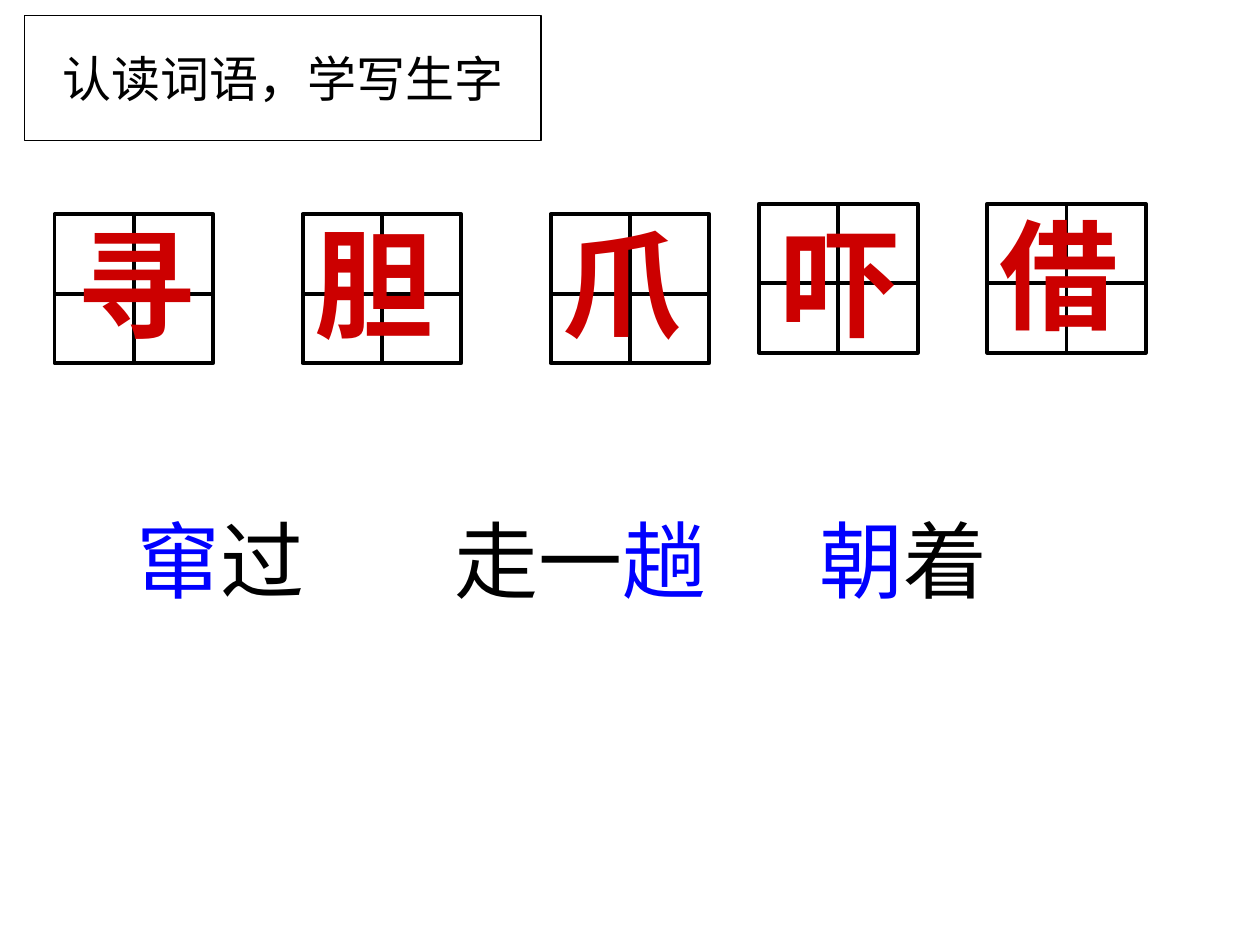
from dataclasses import dataclass

from lxml import etree
from pptx import Presentation
from pptx.dml.color import RGBColor
from pptx.enum.shapes import MSO_CONNECTOR, MSO_SHAPE
from pptx.enum.text import MSO_ANCHOR, MSO_AUTO_SIZE, PP_ALIGN
from pptx.oxml.ns import qn
from pptx.util import Cm, Pt

RECTANGLE = MSO_SHAPE.RECTANGLE
STRAIGHT = MSO_CONNECTOR.STRAIGHT
MIDDLE = MSO_ANCHOR.MIDDLE
GROW = MSO_AUTO_SIZE.SHAPE_TO_FIT_TEXT
CENTER = PP_ALIGN.CENTER
TOP_SIDE, BOTTOM_SIDE = 0, 2


@dataclass(frozen=True)
class Theme:
    black: RGBColor = RGBColor(0, 0, 0)
    red: RGBColor = RGBColor(0xCC, 0, 0)
    blue: RGBColor = RGBColor(0, 0, 0xFF)
    body_font: str = "Arial"
    chinese_font: str = "Noto Sans CJK SC"
    title_size: float = 28
    word_size: float = 48
    character_size: float = 68
    thin_line: float = 0.75
    grid_line: float = 2.25


THEME = Theme()

# Writing grid: width, height and drop of the horizontal guide, in cm
GRID_WIDTH, GRID_HEIGHT, GUIDE_DROP = 3.2, 3, 1.6

# Character, grid left and top, text left, top and width, in cm
CHARACTERS = [
    ("寻", 1.1, 4.32, 1.3, 4.11, 3.4),
    ("胆", 6.1, 4.32, 6.1, 4.11, 2.6),
    ("爪", 11.1, 4.32, 11.1, 4.11, 3.4),
    ("吓", 15.3, 4.11, 15.5, 4.11, 4),
    ("借", 19.9, 4.11, 19.9, 3.94, 4),
]

WORDS = [
    ("窜", THEME.blue),
    ("过\t走一", THEME.black),
    ("趟\t朝", THEME.blue),
    ("着", THEME.black),
]
WORD_TABS = [6.42, 13.77]


def add_text(paragraph, text, *, size, color, font=THEME.body_font, bold=False):
    run = paragraph.add_run()
    run.text = text
    run.font.name = font
    run.font.size = Pt(size)
    run.font.bold = bold
    run.font.color.rgb = color
    east_asian = etree.SubElement(run.font._element, qn("a:ea"))
    east_asian.set("typeface", THEME.chinese_font)


class SlideBuilder:
    def __init__(self, slide, theme):
        self.slide = slide
        self.theme = theme

    def rectangle(self, shapes, left, top, width, height, line_width):
        shape = shapes.add_shape(RECTANGLE, Cm(left), Cm(top), Cm(width), Cm(height))
        shape.shadow.inherit = False
        shape.fill.background()
        shape.line.color.rgb = self.theme.black
        shape.line.width = Pt(line_width)
        return shape

    def guide(self, shapes, start, end):
        points = [Cm(value) for value in (*start, *end)]
        connector = shapes.add_connector(STRAIGHT, *points)
        connector.line.color.rgb = self.theme.black
        connector.line.width = Pt(self.theme.grid_line)
        etree.SubElement(connector._element.spPr, qn("a:effectLst"))
        return connector

    def writing_grid(self, left, top):
        shapes = self.slide.shapes.add_group_shape().shapes
        frame = self.rectangle(shapes, left, top, GRID_WIDTH, GRID_HEIGHT,
                               self.theme.grid_line)
        guide_y, guide_x = top + GUIDE_DROP, left + GRID_WIDTH / 2
        self.guide(shapes, (left, guide_y), (left + GRID_WIDTH, guide_y))
        vertical = self.guide(shapes, (guide_x, top), (guide_x, top + GRID_HEIGHT))
        vertical.begin_connect(frame, TOP_SIDE)
        vertical.end_connect(frame, BOTTOM_SIDE)

    def text_box(self, left, top, width, height, runs, tabs=(), **text_format):
        shape = self.slide.shapes.add_textbox(Cm(left), Cm(top), Cm(width), Cm(height))
        shape.text_frame.word_wrap = True
        shape.text_frame.auto_size = GROW
        paragraph = shape.text_frame.paragraphs[0]
        if tabs:
            tab_list = etree.SubElement(paragraph._p.get_or_add_pPr(), qn("a:tabLst"))
            for position in tabs:
                etree.SubElement(tab_list, qn("a:tab"), pos=str(Cm(position)), algn="l")
        for text, color in runs:
            add_text(paragraph, text, color=color, **text_format)

    def title_box(self, left, top, width, height, text):
        shape = self.rectangle(self.slide.shapes, left, top, width, height,
                               self.theme.thin_line)
        shape.text_frame.word_wrap = False
        shape.text_frame.vertical_anchor = MIDDLE
        paragraph = shape.text_frame.paragraphs[0]
        paragraph.alignment = CENTER
        add_text(paragraph, text, size=self.theme.title_size, color=self.theme.black)


def main():
    presentation = Presentation()
    presentation.slide_width, presentation.slide_height = Cm(25.4), Cm(19.05)
    slide = presentation.slides.add_slide(presentation.slide_layouts[6])
    builder = SlideBuilder(slide, THEME)

    # Title
    builder.title_box(0.5, 0.32, 10.41, 2.52, "认读词语，学写生字")

    # Characters to write, each on its grid
    for character, grid_left, grid_top, left, top, width in CHARACTERS:
        builder.writing_grid(grid_left, grid_top)
        builder.text_box(left, top, width, 3.15, [(character, THEME.red)],
                         size=THEME.character_size, font=THEME.chinese_font, bold=True)

    # Words to read
    builder.text_box(2.5, 10.13, 20.6, 2.29, WORDS, WORD_TABS, size=THEME.word_size)

    presentation.save("out.pptx")


if __name__ == "__main__":
    main()
